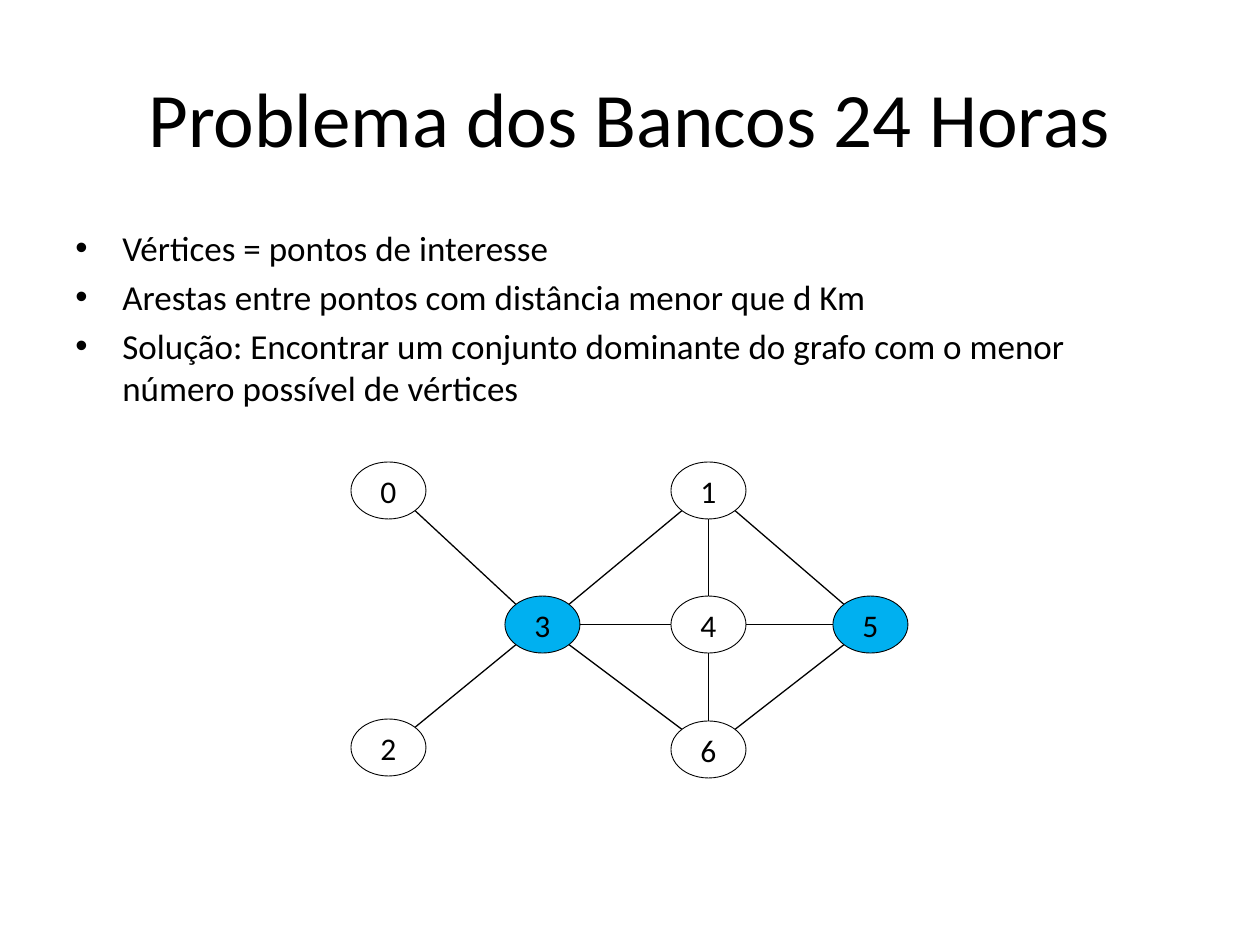
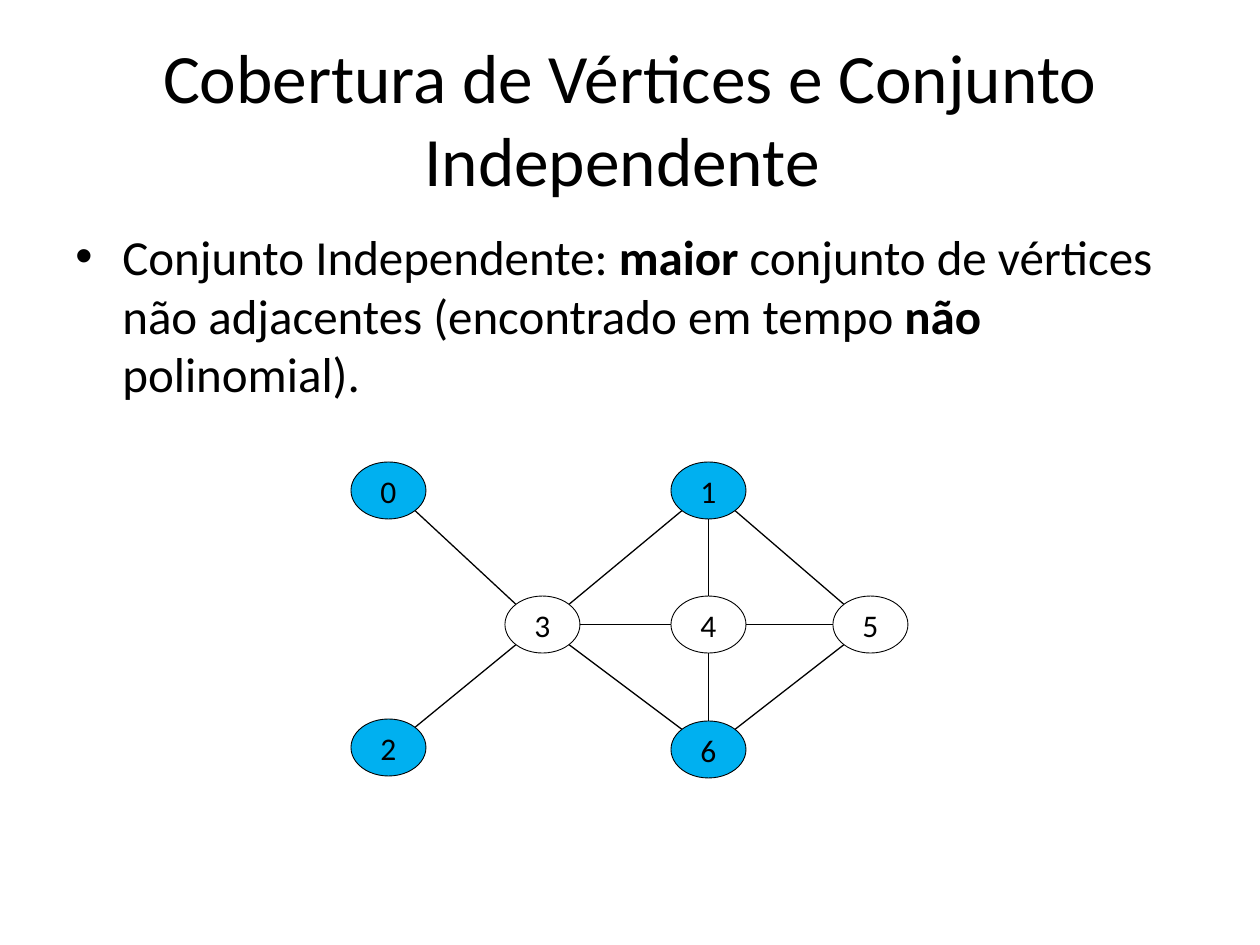
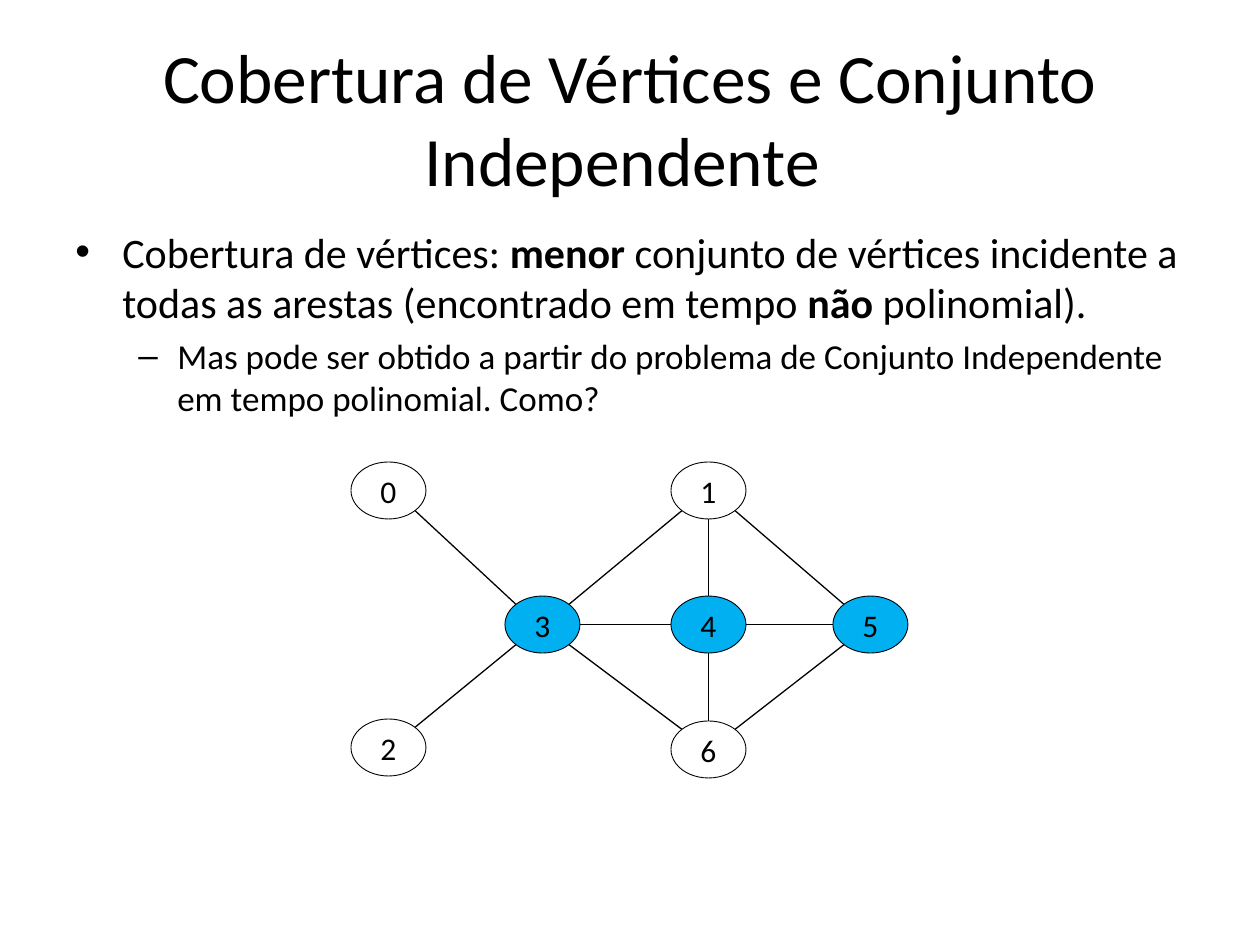
from pptx import Presentation
from pptx.dml.color import RGBColor
from pptx.enum.shapes import MSO_CONNECTOR, MSO_SHAPE
from pptx.enum.text import MSO_ANCHOR, PP_ALIGN
from pptx.oxml.ns import qn
from pptx.util import Pt
from lxml.etree import SubElement

PX = 914400 / 126
NODE_W, NODE_H = 75, 57
NODES = {
    "0": (351, 462), "1": (671, 462), "2": (351, 719), "3": (505, 596),
    "4": (671, 596), "5": (833, 596), "6": (671, 721),
}
EDGES = ["30", "13", "63", "32", "14", "46", "34", "15", "45", "65"]
BULLETS = [("•", 47, 47), ("–", 102, 39)]

SLIDES = [
    ("Problema dos Bancos 24 Horas", 44, [
        (0, 20, ["Vértices = pontos de interesse"]),
        (0, 20, ["Arestas entre pontos com distância menor que d Km"]),
        (0, 20, ["Solução: Encontrar um conjunto dominante do grafo com o menor "
                 "número possível de vértices"]),
    ], "35"),
    ("Cobertura de Vértices e Conjunto Independente ", 39.6, [
        (0, 28, ["Conjunto Independente: ", "maior",
                 " conjunto de vértices não adjacentes (encontrado em tempo ",
                 "não", " polinomial)."]),
    ], "0126"),
    ("Cobertura de Vértices e Conjunto Independente ", 39.6, [
        (0, 24, ["Cobertura de vértices: ", "menor",
                 " conjunto de vértices incidente a todas as arestas (encontrado em tempo ",
                 "não", " polinomial)."]),
        (1, 20, ["Mas pode ser obtido a partir do problema de Conjunto Independente "
                 "em tempo polinomial. Como?"]),
    ], "345"),
]


def px(n):
    return round(n * PX)


def color(value):
    return RGBColor.from_string(value)


def sign(n):
    return (n > 0) - (n < 0)


class Deck:
    font = "Calibri"
    ink = "000000"
    paper = "FFFFFF"
    chosen = "00B0F0"

    def __init__(self):
        self.prs = Presentation()
        self.prs.slide_width, self.prs.slide_height = px(1260), px(945)

    def slide(self):
        self.s = self.prs.slides.add_slide(self.prs.slide_layouts[6])

    def run(self, p, text, size, bold=False):
        r = p.add_run()
        r.text = text
        r.font.name = self.font
        r.font.size = Pt(size)
        r.font.bold = bold
        r.font.color.rgb = color(self.ink)

    def box(self, x, y, w, h):
        tf = self.s.shapes.add_textbox(px(x), px(y), px(w), px(h)).text_frame
        tf.word_wrap = True
        return tf

    def title(self, text, size):
        tf = self.box(63, 38, 1134, 158)
        tf.vertical_anchor = MSO_ANCHOR.MIDDLE
        p = tf.paragraphs[0]
        p.alignment = PP_ALIGN.CENTER
        self.run(p, text, size)

    def body(self, items):
        tf = self.box(63, 220, 1134, 624)
        for i, (level, size, parts) in enumerate(items):
            p = tf.add_paragraph() if i else tf.paragraphs[0]
            p.level = level
            if i:
                p.space_before = Pt(size * 0.2)
            self.bullet(p, level)
            for j, text in enumerate(parts):
                self.run(p, text, size, bold=j % 2 == 1)

    def bullet(self, p, level):
        char, margin, hanging = BULLETS[level]
        pPr = p._p.get_or_add_pPr()
        pPr.set("marL", str(px(margin)))
        pPr.set("indent", str(-px(hanging)))
        SubElement(pPr, qn("a:buFont")).set("typeface", "Arial")
        SubElement(pPr, qn("a:buChar")).set("char", char)

    def node(self, label, fill):
        x, y = NODES[label]
        sp = self.s.shapes.add_shape(MSO_SHAPE.OVAL, px(x), px(y), px(NODE_W), px(NODE_H))
        sp.shadow.inherit = False
        sp.fill.solid()
        sp.fill.fore_color.rgb = color(fill)
        sp.line.color.rgb = color(self.ink)
        sp.line.width = Pt(0.5)
        tf = sp.text_frame
        tf.vertical_anchor = MSO_ANCHOR.MIDDLE
        p = tf.paragraphs[0]
        p.alignment = PP_ALIGN.CENTER
        self.run(p, label, 18)

    def rim(self, label, other):
        (x, y), (ox, oy) = NODES[label], NODES[other]
        dx, dy = sign(ox - x), sign(oy - y)
        reach = 0.71 if dx and dy else 1
        return (px(x + NODE_W / 2 * (1 + dx * reach)),
                px(y + NODE_H / 2 * (1 + dy * reach)))

    def edge(self, a, b):
        cxn = self.s.shapes.add_connector(
            MSO_CONNECTOR.STRAIGHT, *self.rim(a, b), *self.rim(b, a))
        cxn.line.color.rgb = color(self.ink)
        cxn.line.width = Pt(0.75)
        SubElement(cxn._element.spPr, qn("a:effectLst"))

    def graph(self, selected):
        for label in NODES:
            self.node(label, self.chosen if label in selected else self.paper)
        for a, b in EDGES:
            self.edge(a, b)


def main():
    deck = Deck()
    for title, size, items, selected in SLIDES:
        deck.slide()
        deck.title(title, size)
        deck.body(items)
        deck.graph(selected)
    deck.prs.save("out.pptx")


if __name__ == "__main__":
    main()
